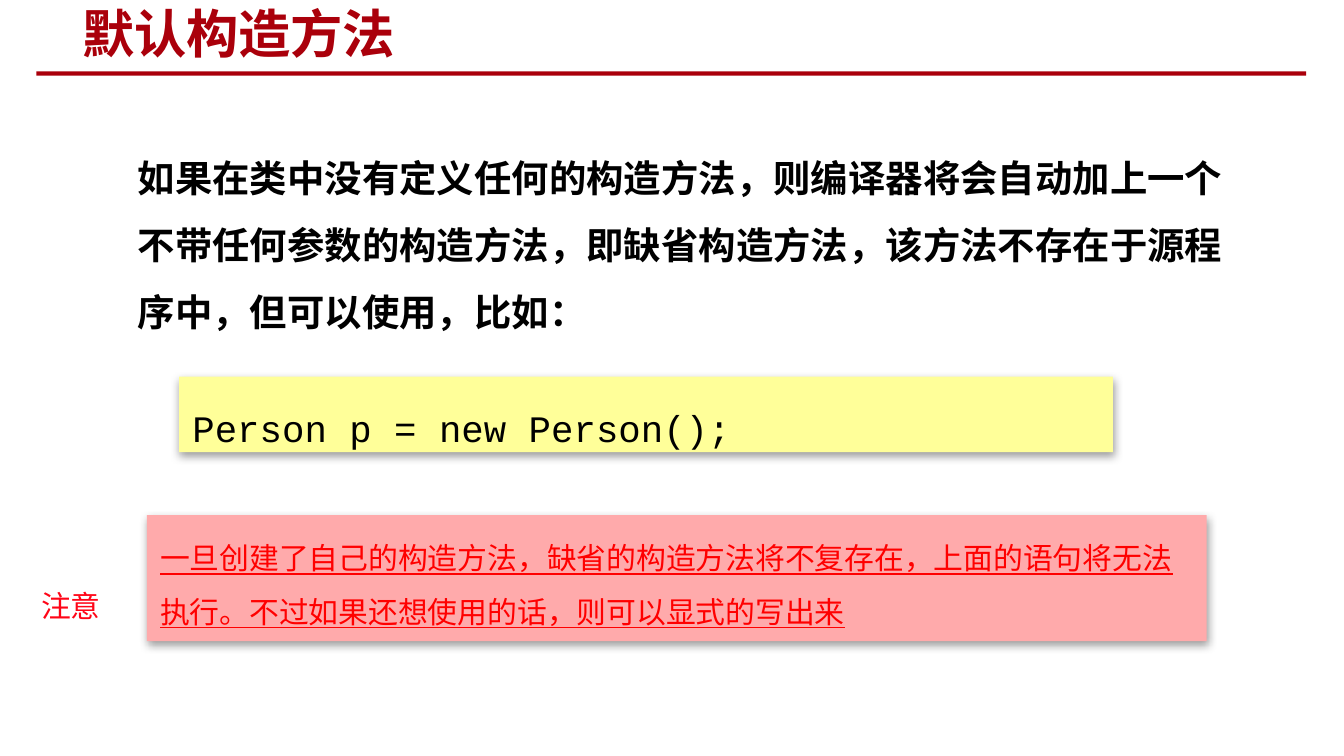
from lxml import etree
from pptx import Presentation
from pptx.dml.color import RGBColor
from pptx.enum.shapes import MSO_SHAPE
from pptx.enum.text import MSO_ANCHOR, MSO_AUTO_SIZE, PP_ALIGN
from pptx.oxml.ns import qn
from pptx.util import Pt

PX = 9525
RECT = MSO_SHAPE.RECTANGLE
TOP, MIDDLE = MSO_ANCHOR.TOP, MSO_ANCHOR.MIDDLE
LEFT = PP_ALIGN.LEFT
NO_FIT = MSO_AUTO_SIZE.NONE
SANS, MONO = "Noto Sans CJK SC", "Courier New"
DARK_RED = "AA000B"


def write(sp, text, size, color, font=SANS, bold=False, underline=False,
          spacing=1.0, indent=0, anchor=TOP, wrap=True):
    tf = sp.text_frame
    tf.word_wrap = wrap
    tf.auto_size = NO_FIT
    tf.vertical_anchor = anchor
    p = tf.paragraphs[0]
    p.alignment = LEFT
    p.line_spacing = spacing
    if indent:
        p._p.get_or_add_pPr().set("marL", str(indent * PX))
    r = p.add_run()
    r.text = text
    r.font.size = Pt(size)
    r.font.bold = bold
    r.font.underline = underline
    r.font.color.rgb = RGBColor.from_string(color)
    r.font.name = font
    etree.SubElement(r._r.get_or_add_rPr(), qn("a:ea"), typeface=font)


def add_panel(x, y, w, h, fill, shadow=True):
    sp = s.shapes.add_shape(RECT, x * PX, y * PX, w * PX, h * PX)
    sp.fill.solid()
    sp.fill.fore_color.rgb = RGBColor.from_string(fill)
    sp.line.fill.background()
    sp.shadow.inherit = False
    if shadow:
        effects = sp._element.spPr.find(qn("a:effectLst"))
        outer = etree.SubElement(effects, qn("a:outerShdw"), blurRad=str(Pt(5)),
                                 dist=str(Pt(1.6)), dir="5400000", rotWithShape="0")
        clr = etree.SubElement(outer, qn("a:srgbClr"), val="000000")
        etree.SubElement(clr, qn("a:alpha"), val="38000")
    return sp


prs = Presentation()
prs.slide_width, prs.slide_height = 960 * PX, 540 * PX
s = prs.slides.add_slide(prs.slide_layouts[5])

title = s.shapes.title
title.left, title.top, title.width, title.height = [v * PX for v in (53 - 4, 2, 509, 43)]
write(title, "默认构造方法", 28, DARK_RED, bold=True, anchor=MIDDLE)
add_panel(26, 51, 907, 3, DARK_RED, shadow=False)

body = s.shapes.add_textbox(53 * PX, 90 * PX, 855 * PX, 450 * PX)
write(body, "如果在类中没有定义任何的构造方法，则编译器将会自动加上一个不带任何参数的构造方法，"
      "即缺省构造方法，该方法不存在于源程序中，但可以使用，比如：",
      20, "000000", bold=True, spacing=1.5, indent=36)

warning = add_panel(105, 368, 757, 90, "FFAAAB")
write(warning, "一旦创建了自己的构造方法，缺省的构造方法将不复存在，上面的语句将无法执行。"
      "不过如果还想使用的话，则可以显式的写出来",
      16, "FF0000", underline=True, spacing=1.5)

code = add_panel(128, 269, 667, 54, "FFFF99")
write(code, "Person p = new Person();", 20, "000000", font=MONO, spacing=1.5)

note = s.shapes.add_textbox(20 * PX, 415 * PX, 62 * PX, 36 * PX)
write(note, "注意", 16, "FF0517", wrap=False)

prs.save("out.pptx")
